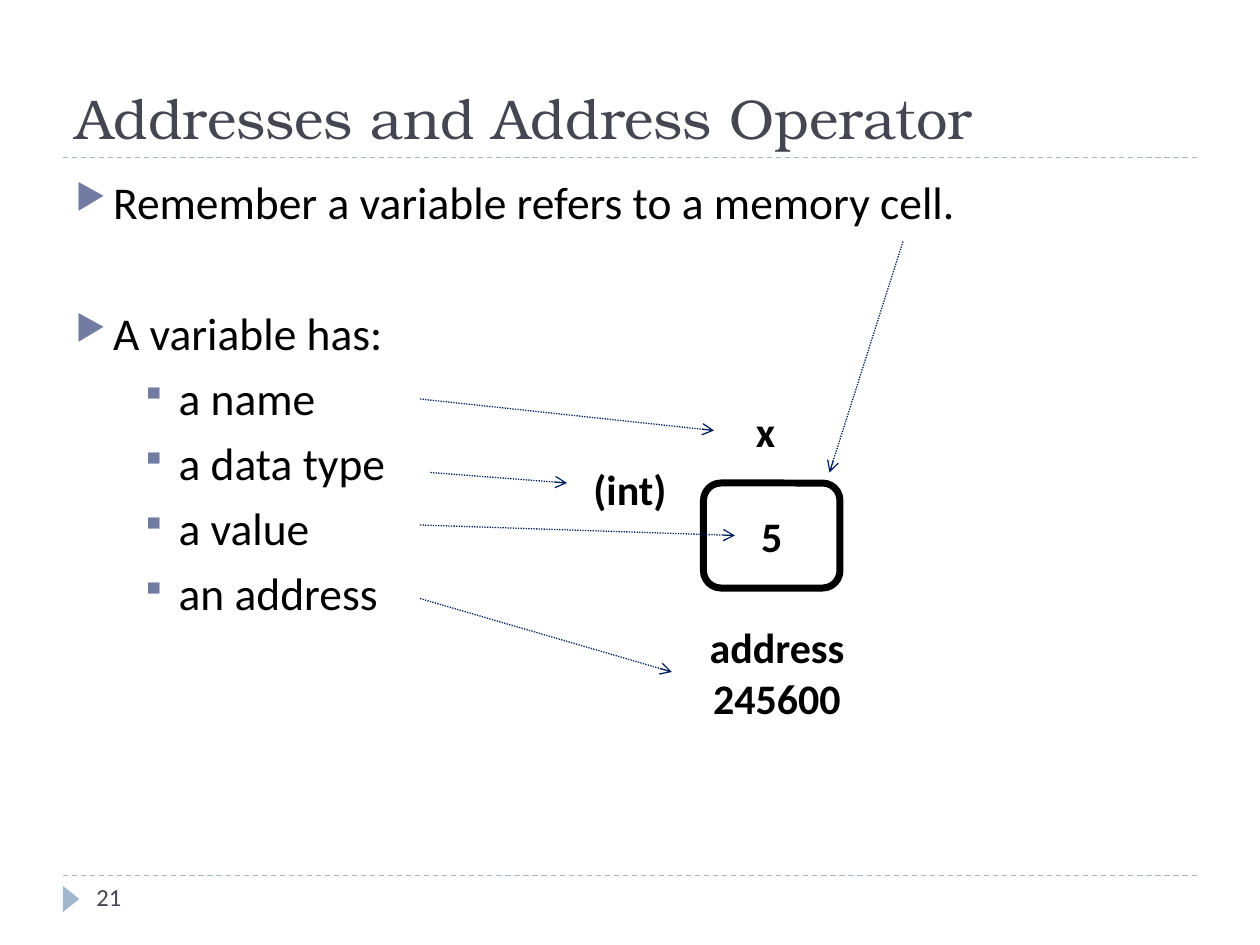
from pptx import Presentation
from pptx.dml.color import RGBColor
from pptx.enum.dml import MSO_LINE_DASH_STYLE as Dash
from pptx.enum.shapes import MSO_CONNECTOR as Connector, MSO_SHAPE as Shape
from pptx.enum.text import MSO_ANCHOR as Anchor, MSO_AUTO_SIZE as AutoSize, PP_ALIGN as Align
from pptx.oxml.ns import qn
from pptx.util import Pt
from lxml.etree import SubElement


def color(hex_value):
    return RGBColor.from_string(hex_value)


class SlideBuilder:
    FONT, TITLE_FONT = "Calibri", "TeX Gyre Bonum"
    BLACK, INK, NAVY = "000000", "464653", "002060"
    ACCENT, BULLET = "9FB8CD", "727CA3"
    LABEL = {"size": Pt(24), "bold": True}

    def __init__(self, slide):
        self.slide = slide

    def set_lines(self, frame, lines, anchor=Anchor.TOP, align=Align.LEFT, ink=BLACK, **font):
        frame.word_wrap = True
        frame.auto_size = AutoSize.NONE
        frame.vertical_anchor = anchor
        for index, line in enumerate(lines):
            paragraph = frame.add_paragraph() if index else frame.paragraphs[0]
            paragraph.text = line
            paragraph.alignment = align
            for name, value in {"name": self.FONT, **font}.items():
                setattr(paragraph.font, name, value)
            paragraph.font.color.rgb = color(ink)

    def title(self, text, left, top, width, height):
        heading = self.slide.shapes.title
        place = {"left": left, "top": top, "width": width, "height": height}
        for name, value in place.items():
            setattr(heading, name, Pt(value))
        self.set_lines(heading.text_frame, [text], Anchor.BOTTOM, ink=self.INK,
                       name=self.TITLE_FONT, size=Pt(32))

    def text(self, lines, left, top, width, height, **style):
        box = self.slide.shapes.add_textbox(Pt(left), Pt(top), Pt(width), Pt(height))
        self.set_lines(box.text_frame, lines, **style)

    def bullets(self, items, left, top, width, height):
        box = self.slide.shapes.add_textbox(Pt(left), Pt(top), Pt(width), Pt(height))
        frame = box.text_frame
        self.set_lines(frame, [line for line, *_ in items], size=Pt(26))
        for paragraph, (_, mark, indent, gap) in zip(frame.paragraphs, items):
            paragraph.space_before = Pt(gap)
            props = paragraph._p.get_or_add_pPr()
            props.set("marL", str(Pt(indent)))
            props.set("indent", str(-Pt(21.6)))
            # Bullet elements go ahead of the font defaults
            defaults = props.find(qn("a:defRPr"))
            tint = SubElement(props, qn("a:buClr"))
            SubElement(tint, qn("a:srgbClr"), val=self.BULLET)
            SubElement(props, qn("a:buSzPct"), val="76000")
            SubElement(props, qn("a:buChar"), char=mark)
            if defaults is not None:
                props.append(defaults)

    def line(self, start, end, ink, dash, arrow=False):
        connector = self.slide.shapes.add_connector(
            Connector.STRAIGHT, *(Pt(value) for value in (*start, *end)))
        connector.line.color.rgb = color(ink)
        connector.line.width = Pt(0.75)
        connector.line.dash_style = dash
        props = connector._element.spPr
        if arrow:
            SubElement(props.find(qn("a:ln")), qn("a:tailEnd"), type="arrow")
        SubElement(props, qn("a:effectLst"))

    def shape(self, kind, left, top, width, height, fill=None, outline=None):
        part = self.slide.shapes.add_shape(kind, Pt(left), Pt(top), Pt(width), Pt(height))
        part.shadow.inherit = False
        if fill:
            part.fill.solid()
            part.fill.fore_color.rgb = color(fill)
        else:
            part.fill.background()
        if outline:
            part.line.color.rgb = color(outline)
            part.line.width = Pt(4)
        else:
            part.line.fill.background()
        return part


def main():
    deck = Presentation()
    deck.slide_width, deck.slide_height = Pt(720), Pt(540)
    page = SlideBuilder(deck.slides.add_slide(deck.slide_layouts[5]))

    # Rules and page marker
    for rule_y in (500.4, 90):
        page.line((36, rule_y), (684, rule_y), page.ACCENT, Dash.DASH)
    marker = page.shape(Shape.ISOSCELES_TRIANGLE, 33.1, 509, 15, 9.4, fill=page.ACCENT)
    marker.rotation = 90

    # Title and bullets
    page.title("Addresses and Address Operator", 36, 12, 648, 78)
    properties = ("a name", "a data type", "a value", "an address")
    page.bullets(
        [("Remember a variable refers to a memory cell.", "▶", 21.6, 0),
         ("A variable has:", "▶", 21.6, 43.5)]
        + [(name, "▪", 59, 6) for name in properties],
        36, 96, 648, 389)

    # Memory cell and its labels
    cell = page.shape(Shape.ROUNDED_RECTANGLE, 402, 276, 78, 60, outline=page.BLACK)
    centered = {"anchor": Anchor.MIDDLE, "align": Align.CENTER, **page.LABEL}
    page.set_lines(cell.text_frame, ["5"], **centered)
    page.text(["x"], 414, 234, 36, 24, **{**centered, "align": Align.RIGHT})
    page.text(["(int)"], 318, 258, 84, 42, **centered)
    page.text(["address", "245600"], 384, 360, 120, 48, **centered)

    # Arrows from the words to the cell
    arrows = [
        ((240, 228), (408, 246)),
        ((246, 270), (324, 276)),
        ((240, 300), (420, 306)),
        ((240, 342), (384, 384)),
        ((516, 138), (474, 270)),
    ]
    for start, end in arrows:
        page.line(start, end, page.NAVY, Dash.ROUND_DOT, arrow=True)

    # Page number
    page.text(["21"], 48, 500.4, 156, 28.8, ink=page.INK, size=Pt(14))

    deck.save("out.pptx")


if __name__ == "__main__":
    main()
